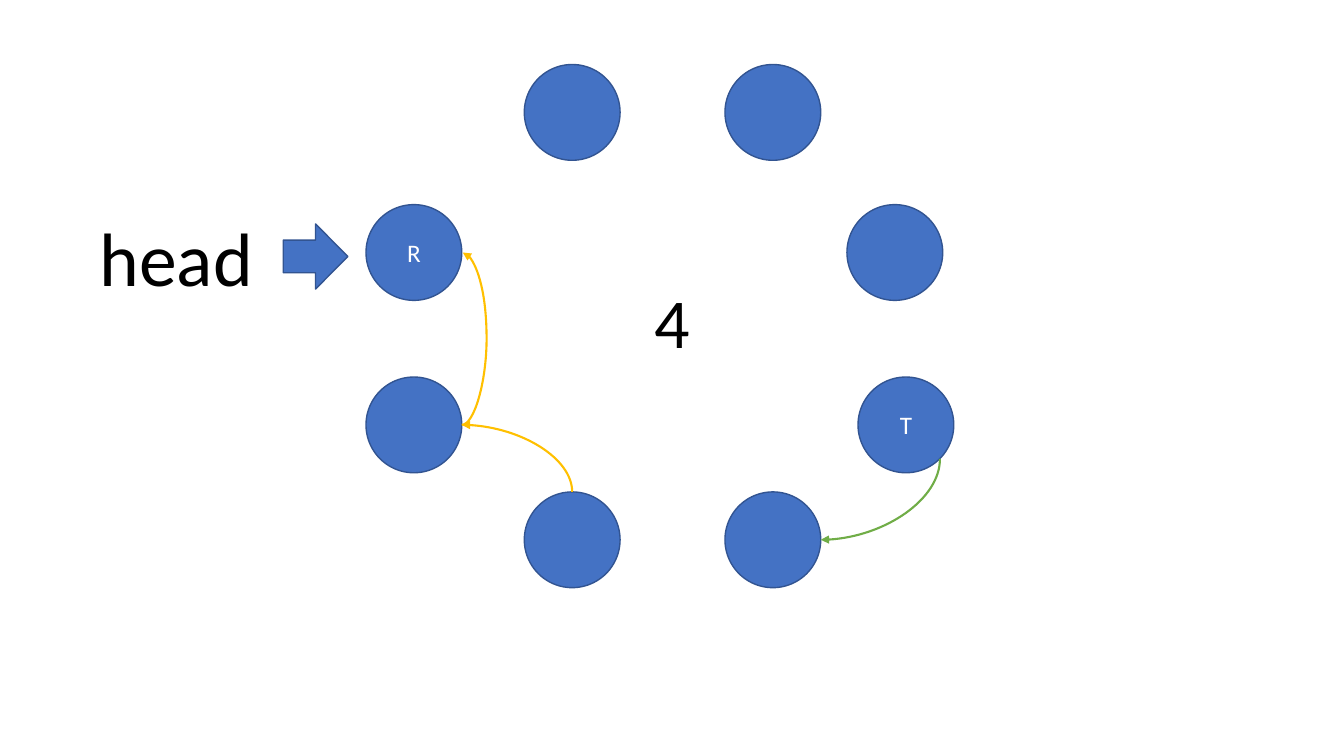
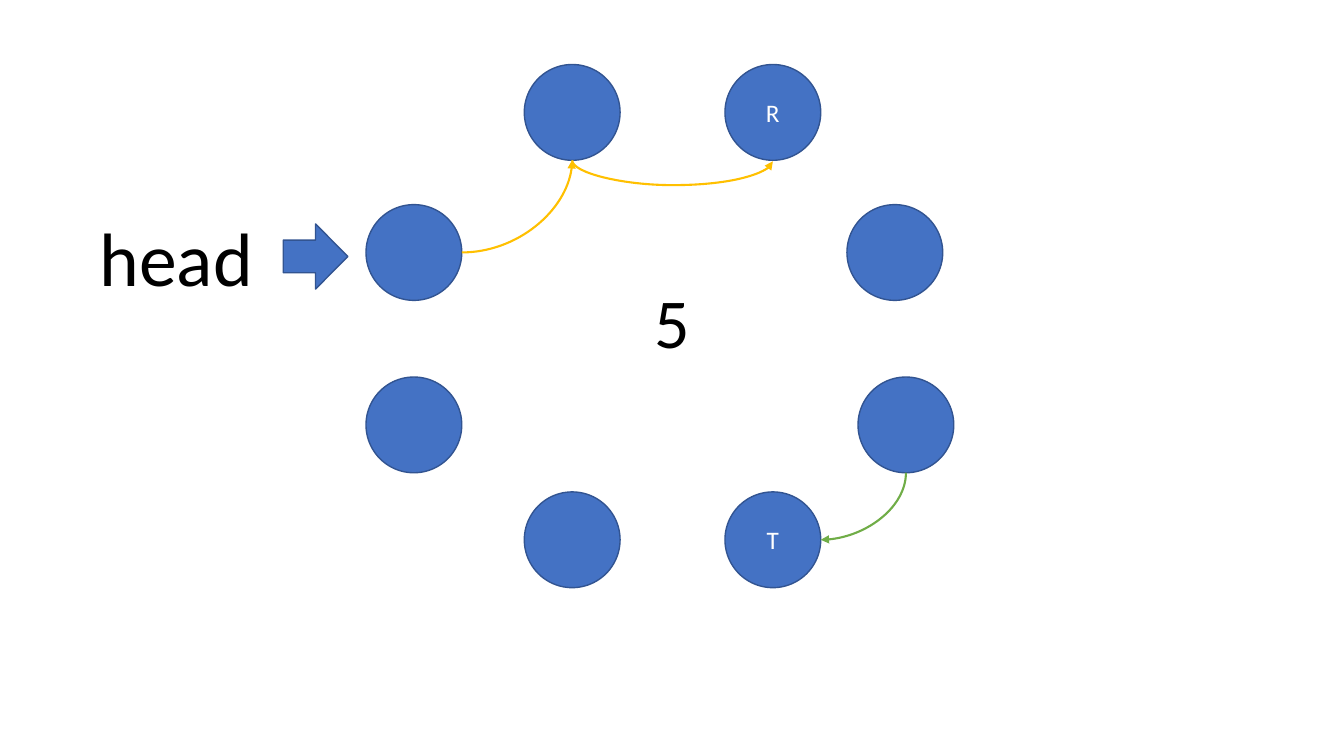
from collections import namedtuple

from pptx import Presentation
from pptx.dml.color import RGBColor
from pptx.enum.shapes import MSO_CONNECTOR, MSO_SHAPE
from pptx.enum.text import MSO_ANCHOR, MSO_AUTO_SIZE, PP_ALIGN
from pptx.oxml.ns import qn
from pptx.util import Inches, Pt

CURVE = MSO_CONNECTOR.CURVE
OVAL, RIGHT_ARROW = MSO_SHAPE.OVAL, MSO_SHAPE.RIGHT_ARROW
CENTER, MIDDLE = PP_ALIGN.CENTER, MSO_ANCHOR.MIDDLE
GROW = MSO_AUTO_SIZE.SHAPE_TO_FIT_TEXT

SLIDE_WIDTH, SLIDE_HEIGHT = 13.33, 7.5
FONT = "Calibri"
COLORS = {
    "node": "4472C4",
    "outline": "325491",
    "text": "000000",
    "node text": "FFFFFF",
    "read": "FFC000",
    "tail": "70AD47",
}

Box = namedtuple("Box", "left top width height")
Arc = namedtuple("Arc", "color start start_side end end_side")

HEAD_BOX = Box(0.89, 2.04, 2.56, 1.01)
RING_BOX = Box(3.63, 0.64, 5.83, 5.19)
NODE_SIZE = 0.95
BULGE = 0.25  # how far an arc between two like sides swings out
NUDGE = 0.01  # keeps such an arc from having no extent

# Top left corner of each node, clockwise from the head, within the ring
COLUMNS = (0, 1.57, 3.56, 4.77, 4.88)
ROWS = (0, 1.39, 3.1, 4.24)
NODES = [(COLUMNS[column], ROWS[row]) for column, row in
         ((0, 1), (1, 0), (2, 0), (3, 1), (4, 2), (2, 3), (1, 3), (0, 2))]

SIDES = {
    "top": (0, -1),
    "right": (1, 0),
    "bottom": (0, 1),
    "bottom right": (0.71, 0.71),
}

STEPS = [
    ("4", {0: "R", 4: "T"}, [
        Arc("read", 6, "top", 7, "right"),
        Arc("read", 7, "right", 0, "right"),
        Arc("tail", 4, "bottom right", 5, "right"),
    ]),
    ("5", {2: "R", 5: "T"}, [
        Arc("read", 0, "right", 1, "bottom"),
        Arc("read", 1, "bottom", 2, "bottom"),
        Arc("tail", 4, "bottom", 5, "right"),
    ]),
]


def color(name):
    return RGBColor.from_string(COLORS[name])


def write(frame, text, size, color_name):
    frame.text = text
    font = frame.paragraphs[0].runs[0].font
    font.name, font.size = FONT, Pt(size)
    font.color.rgb = color(color_name)


def add_label(page, text, size, *box):
    frame = page.shapes.add_textbox(*map(Inches, box)).text_frame
    frame.word_wrap = False
    frame.auto_size = GROW
    write(frame, text, size, "text")


def add_solid(page, kind, *box):
    shape = page.shapes.add_shape(kind, *map(Inches, box))
    shape.shadow.inherit = False
    shape.fill.solid()
    shape.fill.fore_color.rgb = color("node")
    shape.line.color.rgb = color("outline")
    shape.line.width = Pt(1)
    return shape


def add_node(page, left, top, letter):
    node = add_solid(page, OVAL, left, top, NODE_SIZE, NODE_SIZE)
    if letter:
        frame = node.text_frame
        frame.vertical_anchor = MIDDLE
        write(frame, letter, 18, "node text")
        frame.paragraphs[0].alignment = CENTER


def site(box, node, side):
    """Point on the rim of a node."""
    return [origin + offset + NODE_SIZE / 2 * (1 + direction)
            for origin, offset, direction in zip(box, NODES[node], SIDES[side])]


def add_arc(page, box, arc):
    """Curved arrow that leaves sideways from a right side, else upright."""
    x1, y1 = site(box, arc.start, arc.start_side)
    x2, y2 = site(box, arc.end, arc.end_side)
    same_side = arc.start_side == arc.end_side
    if same_side:
        x2 += NUDGE * SIDES[arc.end_side][0]
        y2 += NUDGE * SIDES[arc.end_side][1]
    upright = arc.start_side != "right"
    down = y2 > y1
    if upright:  # lay the curve out sideways about its centre, then turn it
        middle_x, middle_y = (x1 + x2) / 2, (y1 + y2) / 2
        half_width, half_height = abs(y2 - y1) / 2, abs(x2 - x1) / 2
        if (x2 > x1) == down:
            half_height = -half_height
        x1, x2 = middle_x - half_width, middle_x + half_width
        y1, y2 = middle_y - half_height, middle_y + half_height

    connector = page.shapes.add_connector(CURVE, *map(Inches, (x1, y1, x2, y2)))
    connector.line.color.rgb = color(arc.color)
    connector.line.width = Pt(1.5)
    properties = connector.element.spPr
    if upright:
        degrees = 90 if down else 270
        properties.find(qn("a:xfrm")).set("rot", str(degrees * 60000))
    geometry = properties.find(qn("a:prstGeom"))
    if same_side:
        guides = geometry.get_or_add_avLst()
        guide = guides.makeelement(qn("a:gd"), {
            "name": "adj1", "fmla": f"val {round(BULGE / NUDGE * 100000)}"})
        guides.append(guide)
    else:
        geometry.set("prst", "curvedConnector2")
    line = properties.find(qn("a:ln"))
    line.append(line.makeelement(qn("a:tailEnd"), {"type": "triangle"}))
    properties.append(properties.makeelement(qn("a:effectLst"), {}))


def add_head(page, box):
    add_label(page, "head", 54, box.left, box.top, 0.68 * box.width, box.height)
    add_solid(page, RIGHT_ARROW, box.left + 0.75 * box.width,
              box.top + 0.18 * box.height, 0.25 * box.width, 0.64 * box.height)


def add_ring(page, box, count, letters, arcs):
    for index, (left, top) in enumerate(NODES):
        add_node(page, box.left + left, box.top + top, letters.get(index))
    add_label(page, count, 50, box.left + 2.76, box.top + 2.07, 0.55, 0.95)
    for arc in arcs:
        add_arc(page, box, arc)


def main():
    deck = Presentation()
    deck.slide_width, deck.slide_height = Inches(SLIDE_WIDTH), Inches(SLIDE_HEIGHT)
    blank = deck.slide_layouts[6]
    for count, letters, arcs in STEPS:
        page = deck.slides.add_slide(blank)
        add_head(page, HEAD_BOX)
        add_ring(page, RING_BOX, count, letters, arcs)
    deck.save("out.pptx")


if __name__ == "__main__":
    main()
